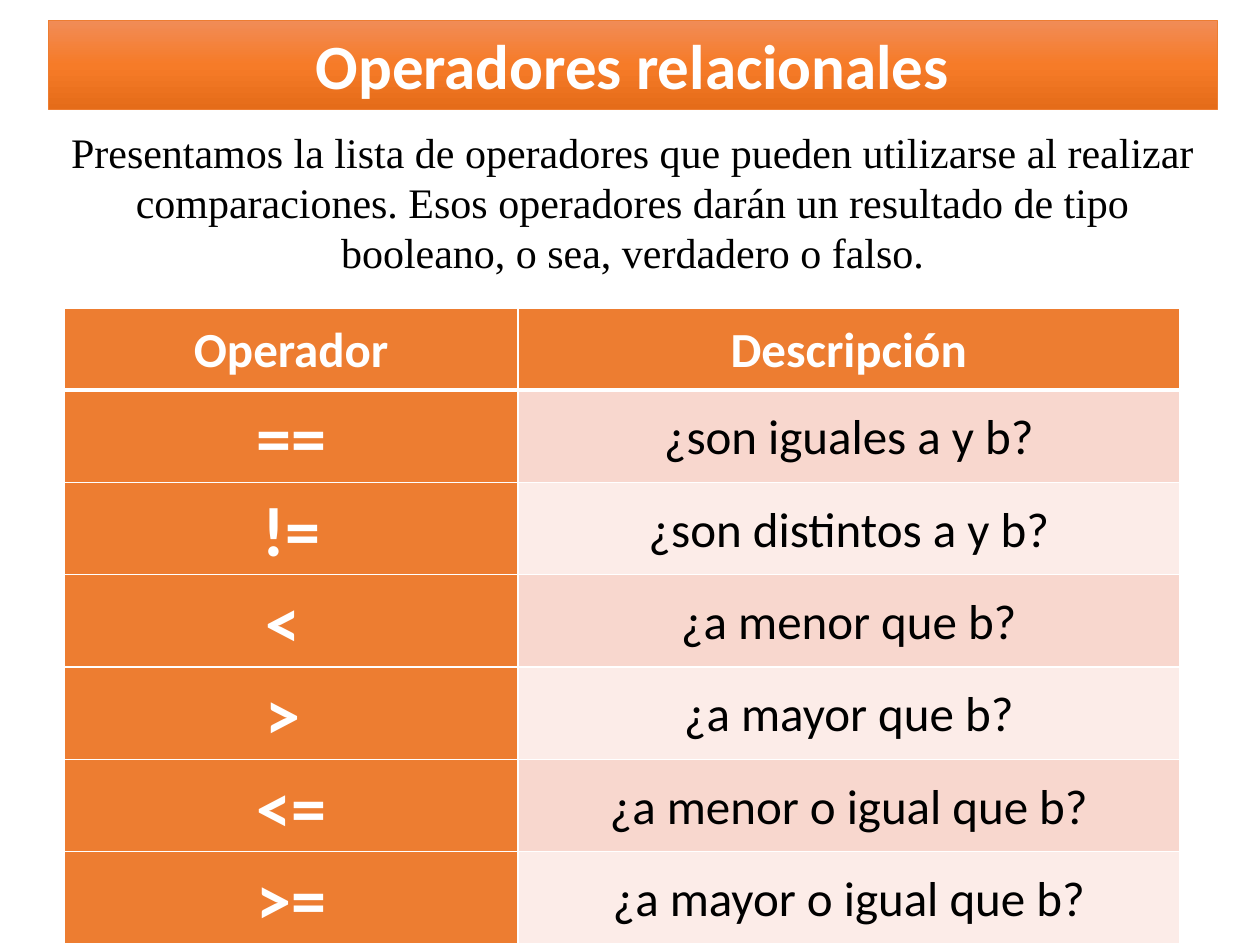
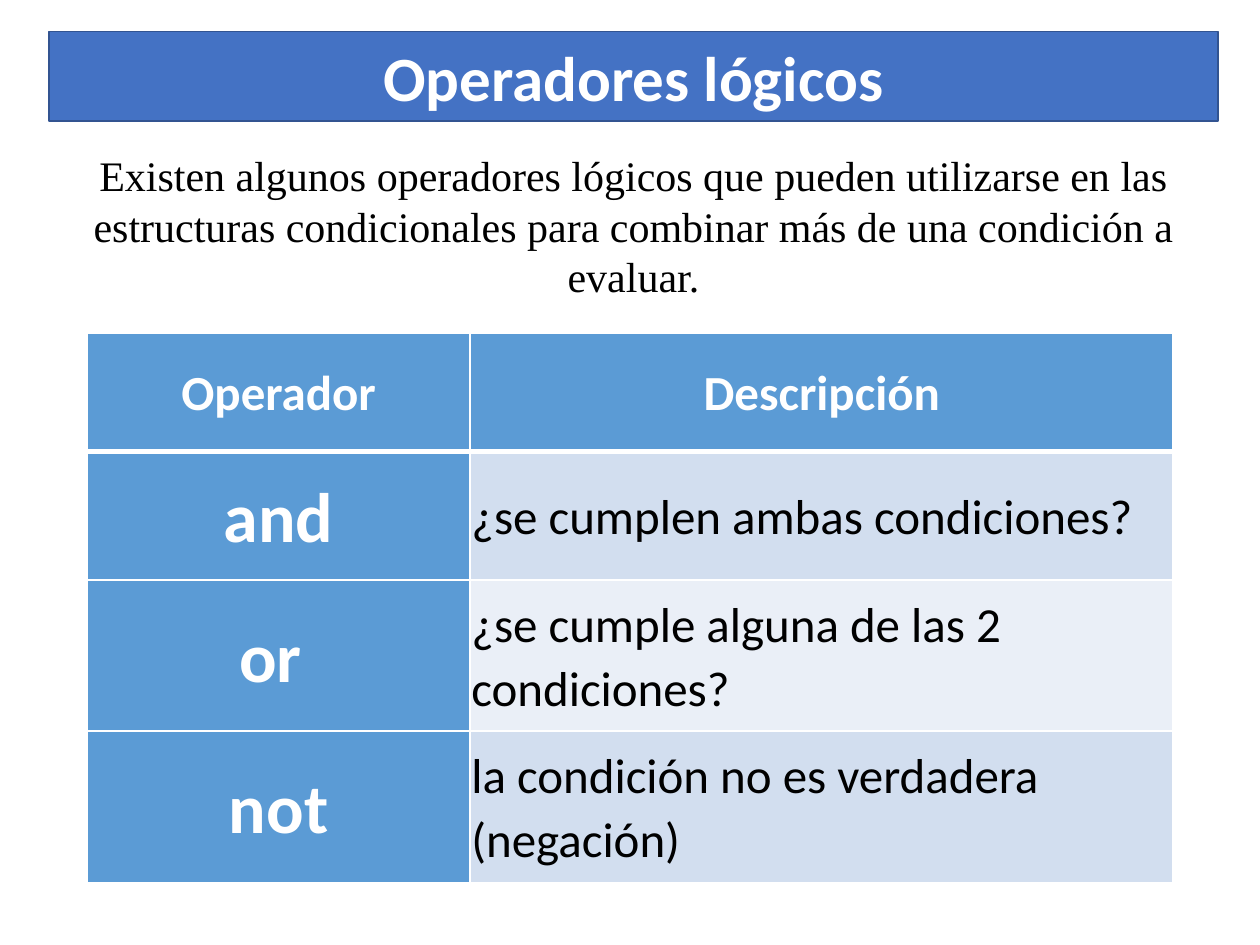
"""Build two slides that list relational and logical operators."""
import dataclasses

import lxml.etree
import pptx
import pptx.dml.color
import pptx.enum.shapes
import pptx.enum.text
import pptx.oxml.ns
import pptx.util

Pt = pptx.util.Pt
RGB = pptx.dml.color.RGBColor.from_string
qn = pptx.oxml.ns.qn
ALIGN = pptx.enum.text.PP_ALIGN
MIDDLE = pptx.enum.text.MSO_ANCHOR.MIDDLE
GROW = pptx.enum.text.MSO_AUTO_SIZE.SHAPE_TO_FIT_TEXT


@dataclasses.dataclass(frozen=True)
class Theme:
    sans: str = "Calibri"
    serif: str = "Times New Roman"
    white: str = "FFFFFF"
    black: str = "000000"
    title: int = 36
    intro: int = 24
    body: int = 28
    sign: int = 40


theme = Theme()

topics = [
    dict(
        title="Operadores relacionales",
        intro="Presentamos la lista de operadores que pueden utilizarse al realizar "
              "comparaciones. Esos operadores darán un resultado de tipo booleano, "
              "o sea, verdadero o falso.",
        fade=["F18C57", "F67B28", "E56C19"], edge="ED7D31", line=0.5,
        left=27.5, top=11.5, below=68.5,
        grid=(36.75, 176), cols=[259.2, 378], rows=[46.8] + [50.4] * 6,
        main="ED7D31", tints=["F8D7CE", "FCECE8"], align=ALIGN.CENTER,
        items=[
            ("==", "¿son iguales a y b?"),
            ("!=", "¿son distintos a y b?"),
            ("< ", "¿a menor que b?"),
            ("> ", "¿a mayor que b?"),
            ("<=", "¿a menor o igual que b?"),
            (">=", "¿a mayor o igual que b?"),
        ],
    ),
    dict(
        title="Operadores lógicos",
        intro="Existen algunos operadores lógicos que pueden utilizarse en las "
              "estructuras condicionales para combinar más de una condición a evaluar.",
        fade=["4472C4"], edge="325491", line=1,
        left=28, top=18, below=82,
        grid=(49.75, 190.25), cols=[218.9, 401.8], rows=[67.7, 73.4, 86.4, 86.4],
        main="5B9BD5", tints=["D2DEEF", "EAEFF7"], align=ALIGN.LEFT,
        items=[
            ("and", "¿se cumplen ambas condiciones?"),
            ("or ", "¿se cumple alguna de las 2 condiciones?"),
            ("not", "la condición no es verdadera (negación)"),
        ],
    ),
]


def write(frame, text, face, size, color, bold=False, align=ALIGN.CENTER):
    frame.word_wrap = True
    para = frame.paragraphs[0]
    para.text = text
    para.alignment = align
    para.font.name = face
    para.font.size = Pt(size)
    para.font.bold = bold
    para.font.color.rgb = RGB(color)
    return para


def border(cell, side, width):
    props = cell._tc.get_or_add_tcPr()
    line = lxml.etree.SubElement(props, qn("a:ln" + side), w=str(Pt(width)))
    fill = lxml.etree.SubElement(line, qn("a:solidFill"))
    lxml.etree.SubElement(fill, qn("a:srgbClr"), val=theme.white)


deck = pptx.Presentation()
deck.slide_width, deck.slide_height = Pt(720), Pt(540)

for topic in topics:
    slide = deck.slides.add_slide(deck.slide_layouts[6])

    band = slide.shapes.add_shape(
        pptx.enum.shapes.MSO_SHAPE.RECTANGLE,
        Pt(topic["left"]), Pt(topic["top"]), Pt(668), Pt(51))
    band.shadow.inherit = False
    fade = topic["fade"]
    if len(fade) == 1:
        band.fill.solid()
        band.fill.fore_color.rgb = RGB(fade[0])
    else:
        band.fill.gradient()
        band.fill.gradient_angle = 270
        stops = band.element.spPr.find(".//" + qn("a:gsLst"))
        for stop in list(stops):
            stops.remove(stop)
        for step, color in enumerate(fade):
            place = step * 100000 // (len(fade) - 1)
            stop = lxml.etree.SubElement(stops, qn("a:gs"), pos=str(place))
            lxml.etree.SubElement(stop, qn("a:srgbClr"), val=color)
    band.line.color.rgb = RGB(topic["edge"])
    band.line.width = Pt(topic["line"])
    write(band.text_frame, topic["title"], theme.sans, theme.title, theme.white, True)
    band.text_frame.vertical_anchor = MIDDLE
    band.text_frame.auto_size = GROW

    intro = slide.shapes.add_textbox(
        Pt(topic["left"]), Pt(topic["below"]), Pt(668), Pt(94.5))
    write(intro.text_frame, topic["intro"], theme.serif, theme.intro, theme.black)
    intro.text_frame.auto_size = GROW

    cols, rows = topic["cols"], topic["rows"]
    left, top = topic["grid"]
    table = slide.shapes.add_table(
        len(rows), len(cols), Pt(left), Pt(top), Pt(sum(cols)), Pt(sum(rows))).table
    for col, width in zip(table.columns, cols):
        col.width = Pt(width)
    for row, height in zip(table.rows, rows):
        row.height = Pt(height)

    for r, item in enumerate([("Operador", "Descripción")] + topic["items"]):
        for c, text in enumerate(item):
            cell = table.cell(r, c)
            cell.margin_left = cell.margin_right = Pt(0.72)
            cell.margin_top = cell.margin_bottom = Pt(0.72)
            cell.vertical_anchor = MIDDLE
            border(cell, "L", 1)
            border(cell, "R", 1)
            border(cell, "T", 3 if r == 1 else 1)
            border(cell, "B", 3 if r == 0 else 1)
            plain = r > 0 and c > 0
            cell.fill.solid()
            cell.fill.fore_color.rgb = RGB(
                topic["tints"][(r - 1) % 2] if plain else topic["main"])
            para = write(
                cell.text_frame, text, theme.sans,
                theme.sign if r > 0 and c == 0 else theme.body,
                theme.black if plain else theme.white,
                not plain, topic["align"] if plain else ALIGN.CENTER)
            para.line_spacing = 1.07
            para.space_after = Pt(8)

deck.save("out.pptx")
